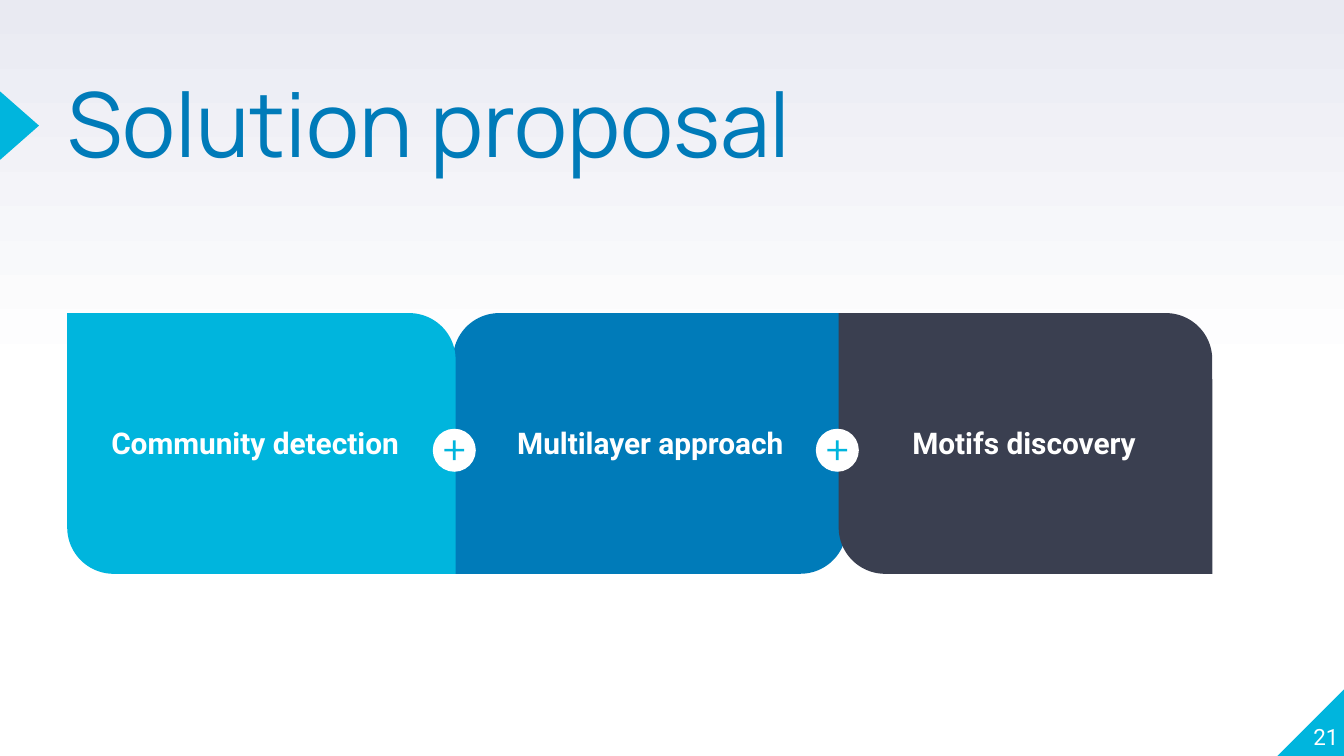
from pptx import Presentation
from pptx.dml.color import RGBColor
from pptx.enum import shapes, text
from pptx.util import Inches, Pt

COLORS = {"cyan": "00B5DD", "blue": "007BB9", "slate": "3A3F50",
          "white": "FFFFFF", "mist": "E9EAF2"}
SHAPE = shapes.MSO_SHAPE


def add_filled(kind, left, top, width, height, color, rotation=0):
    shape = page.shapes.add_shape(kind, Inches(left), Inches(top),
                                  Inches(width), Inches(height))
    shape.shadow.inherit = False
    shape.fill.solid()
    shape.fill.fore_color.rgb = RGBColor.from_string(COLORS[color])
    shape.line.fill.background()
    shape.rotation = rotation
    return shape


def write(box, wording, size, font, color, inset=0, bold=False,
          align=text.PP_ALIGN.LEFT, anchor=text.MSO_ANCHOR.TOP):
    frame = box.text_frame
    frame.text = wording
    frame.word_wrap = True
    frame.auto_size = text.MSO_AUTO_SIZE.NONE
    frame.vertical_anchor = anchor
    frame.margin_left = frame.margin_right = Inches(inset)
    frame.margin_top = frame.margin_bottom = Inches(inset)
    para = frame.paragraphs[0]
    para.alignment = align
    span = para.runs[0]
    span.font.size = Pt(size)
    span.font.name = font
    span.font.bold = bold
    span.font.color.rgb = RGBColor.from_string(COLORS[color])
    return para


# A 16:9 page
deck = Presentation()
deck.slide_width = Inches(10)
deck.slide_height = Inches(10 * 9 / 16)
page = deck.slides.add_slide(deck.slide_layouts[5])

# Background: white lower half, fading to mist at the top
backdrop = page.background.fill
backdrop.gradient()
backdrop.gradient_angle = 90
for stop, position, color in zip(backdrop.gradient_stops, (0.5, 1), ("white", "mist")):
    stop.position = position
    stop.color.rgb = RGBColor.from_string(COLORS[color])

# Corner and title markers
add_filled(SHAPE.RIGHT_TRIANGLE, 9.5, 5.12, 0.51, 0.51, "cyan", rotation=270)
add_filled(SHAPE.ISOSCELES_TRIANGLE, -0.11, 0.79, 0.51, 0.29, "cyan", rotation=90)

# Title
title = page.shapes.title
title.left, title.top = Inches(0.5), Inches(0.66)
title.width, title.height = Inches(5.39), Inches(0.69)
write(title, "Solution proposal", 48, "Manrope", "blue").line_spacing = 0.8

# Page number
number = page.shapes.add_textbox(Inches(9.46), Inches(5.07), Inches(0.5), Inches(0.51))
write(number, "21", 12, "Roboto", "white",
      align=text.PP_ALIGN.RIGHT, anchor=text.MSO_ANCHOR.BOTTOM)

# Panels, the middle one behind its neighbours and rounded on the other diagonal
panels = [
    ("Multilayer approach", 3.37, 2.93, "blue", (0.178, 0), 3.75, 2.19),
    ("Community detection", 0.5, 2.89, "cyan", (0, 0.178), 0.73, 2.43),
    ("Motifs discovery", 6.24, 2.78, "slate", (0, 0.178), 6.69, 2.24),
]
for wording, left, width, color, corners, label_left, label_width in panels:
    panel = add_filled(SHAPE.ROUND_2_DIAG_RECTANGLE, left, 2.33, width, 1.94, color)
    panel.adjustments[0], panel.adjustments[1] = corners
    label = page.shapes.add_textbox(Inches(label_left), Inches(3.06),
                                    Inches(label_width), Inches(0.57))
    write(label, wording, 16, "Roboto", "white", inset=0.1, bold=True)

# Plus badges on the seams
for left in (3.22, 6.07):
    add_filled(SHAPE.OVAL, left, 3.19, 0.32, 0.32, "white")
    plus = add_filled(SHAPE.MATH_PLUS, left + 0.06, 3.25, 0.2, 0.2, "cyan")
    plus.adjustments[0] = 0.099

deck.save("out.pptx")
